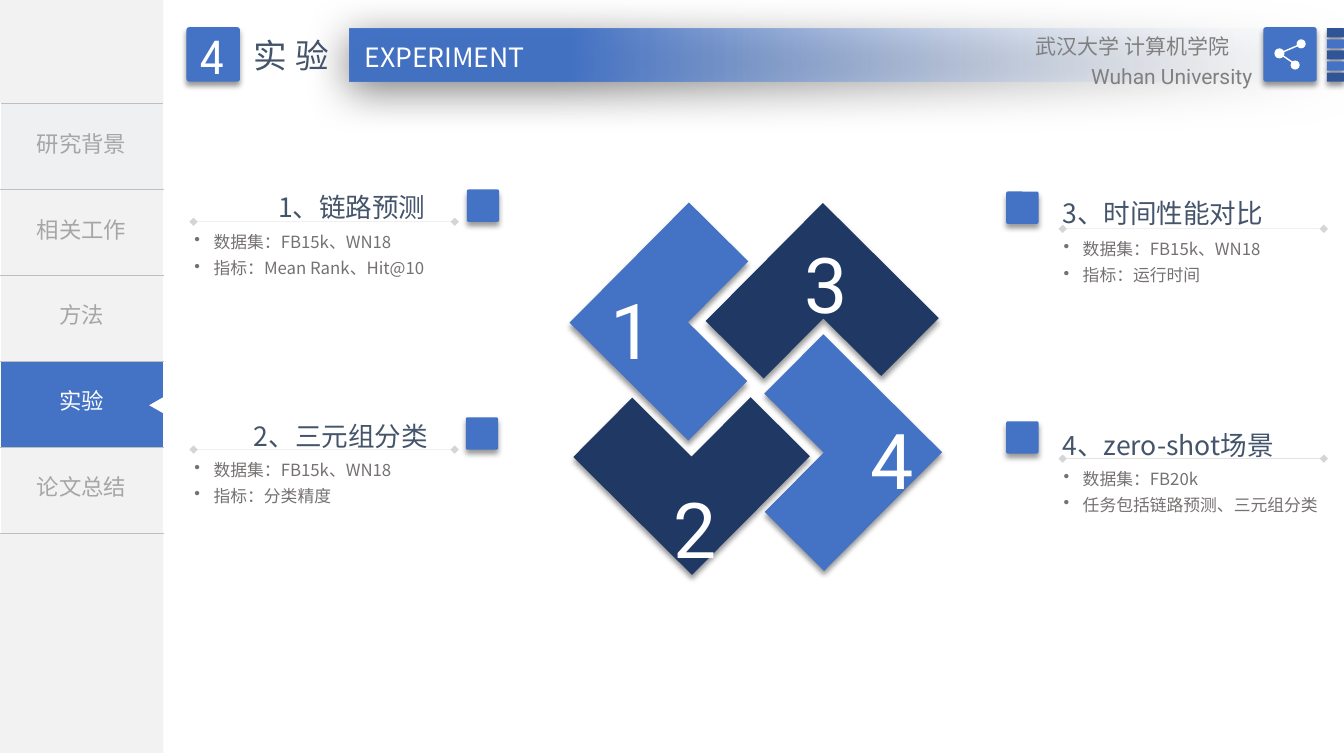
from dataclasses import dataclass
from lxml.etree import SubElement
from pptx import Presentation
from pptx.dml.color import RGBColor
from pptx.enum.shapes import MSO_CONNECTOR, MSO_SHAPE
from pptx.enum.text import MSO_ANCHOR, MSO_AUTO_SIZE, PP_ALIGN
from pptx.oxml.ns import qn
from pptx.util import Emu, Pt

EMU_PER_PX = 9144


@dataclass(frozen=True)
class Theme:
    blue: str = "4472C4"
    navy: str = "203864"
    steel: str = "2F5597"
    white: str = "FFFFFF"
    panel: str = "F2F2F2"
    panel_tint: str = "EFF0F2"
    fade: str = "F7FAFD"
    border: str = "BFBFBF"
    muted: str = "A6A6A6"
    grey: str = "808080"
    heading: str = "44546A"
    body: str = "767171"
    black: str = "000000"
    sans: str = "Noto Sans CJK SC"
    latin: str = "Roboto"
    display: str = "League Spartan"
    digit_size: int = 55
    badge_size: int = 36
    section_size: int = 24
    title_size: int = 19
    menu_size: int = 16
    school_size: int = 15
    body_size: int = 12


def px(value):
    return Emu(value * EMU_PER_PX)


def rgb(color):
    return RGBColor.from_string(color)


class Page:
    def __init__(self, deck, theme):
        self.theme = theme
        self.page = deck.slides.add_slide(deck.slide_layouts[6])
        self.shapes = self.page.shapes

    def style(self, para, size, color, font, align=PP_ALIGN.LEFT, spacing=None, tracking=0):
        para.alignment = align
        if spacing:
            para.line_spacing = spacing
        para.font.size = Pt(size)
        para.font.color.rgb = rgb(color)
        para.font.name = font
        defaults = para._p.xpath("a:pPr/a:defRPr")[0]
        SubElement(defaults, qn("a:ea"), typeface=font)
        if tracking:
            defaults.set("spc", str(tracking * 100))

    def shadow(self, shape, alpha=40, blur=4, distance=3, angle=90):
        effects = shape._element.spPr.find(qn("a:effectLst"))
        outer = SubElement(effects, qn("a:outerShdw"), blurRad=str(Pt(blur)), dist=str(Pt(distance)),
                           dir=str(angle * 60000), algn="t", rotWithShape="0")
        color = SubElement(outer, qn("a:srgbClr"), val=self.theme.black)
        SubElement(color, qn("a:alpha"), val=str(alpha * 1000))

    def shape(self, kind, left, top, width, height, color, rotation=0):
        shape = self.shapes.add_shape(kind, px(left), px(top), px(width), px(height))
        shape.shadow.inherit = False
        shape.fill.solid()
        shape.fill.fore_color.rgb = rgb(color)
        shape.line.fill.background()
        shape.rotation = rotation
        return shape

    def tile(self, left, top, width, height, color):
        tile = self.shape(MSO_SHAPE.ROUNDED_RECTANGLE, left, top, width, height, color)
        tile.adjustments[0] = 0.05
        self.shadow(tile)
        return tile

    def banner(self, left, top, width, height):
        banner = self.shape(MSO_SHAPE.RECTANGLE, left, top, width, height, self.theme.blue)
        banner.fill.gradient()
        banner.fill.gradient_angle = 180
        clear, solid = banner.fill.gradient_stops
        clear.position, clear.color.rgb = 0, rgb(self.theme.fade)
        solid.position, solid.color.rgb = 0.78, rgb(self.theme.blue)
        SubElement(banner._element.xpath(".//a:gs/a:srgbClr")[0], qn("a:alpha"), val="0")
        self.shadow(banner, 50, 31, 6, 97)

    def text(self, left, top, width, height, lines, size, color, font, wrap=True, bullets=False, **options):
        box = self.shapes.add_textbox(px(left), px(top), px(width), px(height))
        frame = box.text_frame
        frame.word_wrap = wrap
        frame.auto_size = MSO_AUTO_SIZE.SHAPE_TO_FIT_TEXT
        for index, line in enumerate(lines):
            para = frame.add_paragraph() if index else frame.paragraphs[0]
            para.text = line
            if bullets:
                properties = para._p.get_or_add_pPr()
                properties.set("marL", str(px(19)))
                properties.set("indent", str(-px(19)))
                SubElement(properties, qn("a:buChar"), char="•")
            self.style(para, size, color, font, **options)

    def line(self, start, end, color, width):
        line = self.shapes.add_connector(MSO_CONNECTOR.STRAIGHT, *map(px, start + end))
        line.line.color.rgb = rgb(color)
        line.line.width = Pt(width)
        SubElement(line._element.spPr, qn("a:effectLst"))
        return line

    def rule(self, left, top, width):
        rule = self.line((left, top), (left + width, top), self.theme.grey, 0.25)
        outline = rule._element.spPr.find(qn("a:ln"))
        SubElement(outline.xpath(".//a:srgbClr")[0], qn("a:alpha"), val="33000")
        for end in ("a:headEnd", "a:tailEnd"):
            SubElement(outline, qn(end), type="diamond")

    def menu(self, left, top, width, height, entries):
        theme = self.theme
        table = self.shapes.add_table(len(entries), 1, px(left), px(top), px(width), px(height)).table
        table.first_row = table.horz_banding = False
        for index, (label, fill, color) in enumerate(entries):
            cell = table.cell(index, 0)
            cell.text = label
            cell.vertical_anchor = MSO_ANCHOR.MIDDLE
            self.style(cell.text_frame.paragraphs[0], theme.menu_size, color, theme.display, PP_ALIGN.CENTER)
            for side in ("a:lnT", "a:lnB"):
                border = SubElement(cell._tc.get_or_add_tcPr(), qn(side), w=str(Pt(1)))
                SubElement(SubElement(border, qn("a:solidFill")), qn("a:srgbClr"), val=theme.border)
            cell.fill.solid()
            cell.fill.fore_color.rgb = rgb(fill)

    def topic(self, marker, title_box, rule_at, title, details):
        theme = self.theme
        self.tile(*marker, 32, 32, theme.blue)
        self.text(*title_box, 48, [title], theme.title_size, theme.heading, theme.sans, spacing=1.3)
        left, top = rule_at
        self.rule(left, top, 259)
        self.text(left - 9, top - 1, 279, 60, details, theme.body_size, theme.body, theme.sans,
                  bullets=True, spacing=1.3)


def main():
    theme = Theme()
    deck = Presentation()
    deck.slide_width, deck.slide_height = px(1333), px(750)
    page = Page(deck, theme)

    page.shape(MSO_SHAPE.RECTANGLE, 0, 0, 162, 747, theme.panel)
    page.menu(0, 103, 162, 426, [
        ("研究背景", theme.panel_tint, theme.muted),
        ("相关工作", theme.panel, theme.muted),
        ("方法", theme.panel, theme.muted),
        ("实验", theme.blue, theme.white),
        ("论文总结", theme.panel, theme.muted),
    ])
    page.shape(MSO_SHAPE.ISOSCELES_TRIANGLE, 147, 395, 16, 14, theme.white, 270)

    page.banner(347, 28, 987, 53)
    badge = page.tile(185, 27, 53, 54, theme.blue)
    badge.text_frame.text = "4"
    badge.text_frame.vertical_anchor = MSO_ANCHOR.MIDDLE
    page.style(badge.text_frame.paragraphs[0], theme.badge_size, theme.white, theme.display, PP_ALIGN.CENTER)
    page.text(242, 30, 104, 50, ["实验"], theme.section_size, theme.heading, theme.sans,
              wrap=False, tracking=6)
    page.text(348, 36, 186, 42, ["EXPERIMENT"], theme.title_size, theme.white, theme.sans,
              wrap=False, align=PP_ALIGN.CENTER)
    page.text(1015, 28, 214, 40, ["武汉大学 计算机学院"], theme.school_size, theme.grey, theme.sans,
              align=PP_ALIGN.RIGHT)
    page.text(1015, 58, 237, 34, ["Wuhan University"], theme.school_size, theme.grey, theme.latin,
              align=PP_ALIGN.RIGHT)

    for index in range(5):
        page.tile(1316, 28 + 11 * index, 17, 9, theme.blue if index % 2 else theme.steel)
    page.tile(1253, 27, 53, 54, theme.blue)
    hub = (1269, 53)
    for node in ((1290, 44), (1285, 64)):
        page.line(hub, node, theme.white, 1)
    for left, top, size in ((1264, 48, 10), (1286, 39, 9), (1280, 60, 9)):
        page.shape(MSO_SHAPE.OVAL, left, top, size, size, theme.white)

    for left, top, width, height, color, rotation in (
        (600, 235, 166, 168, theme.blue, 44.8),
        (733, 236, 165, 162, theme.navy, 134.8),
        (734, 366, 166, 166, theme.blue, 224.8),
        (603, 370, 166, 166, theme.navy, 314.8),
    ):
        page.shadow(page.shape(MSO_SHAPE.CORNER, left, top, width, height, color, rotation))
    for digit, left, top in (("1", 596, 248), ("3", 788, 202), ("4", 854, 377), ("2", 658, 445)):
        page.text(left, top, 63, 120, [digit], theme.digit_size, theme.white, theme.latin, spacing=1.3)

    page.topic((463, 188), (266, 175, 208), (192, 220), "1、链路预测",
               ["数据集：FB15k、WN18", "指标：Mean Rank、Hit@10"])
    page.topic((998, 190), (1044, 181, 249), (1054, 227), "3、时间性能对比",
               ["数据集：FB15k、WN18", "指标：运行时间"])
    page.topic((462, 414), (242, 402, 233), (192, 446), "2、三元组分类",
               ["数据集：FB15k、WN18", "指标：分类精度"])
    page.topic((998, 418), (1044, 411, 289), (1054, 455), "4、zero-shot场景",
               ["数据集：FB20k", "任务包括链路预测、三元组分类"])
    deck.save("out.pptx")


if __name__ == "__main__":
    main()
